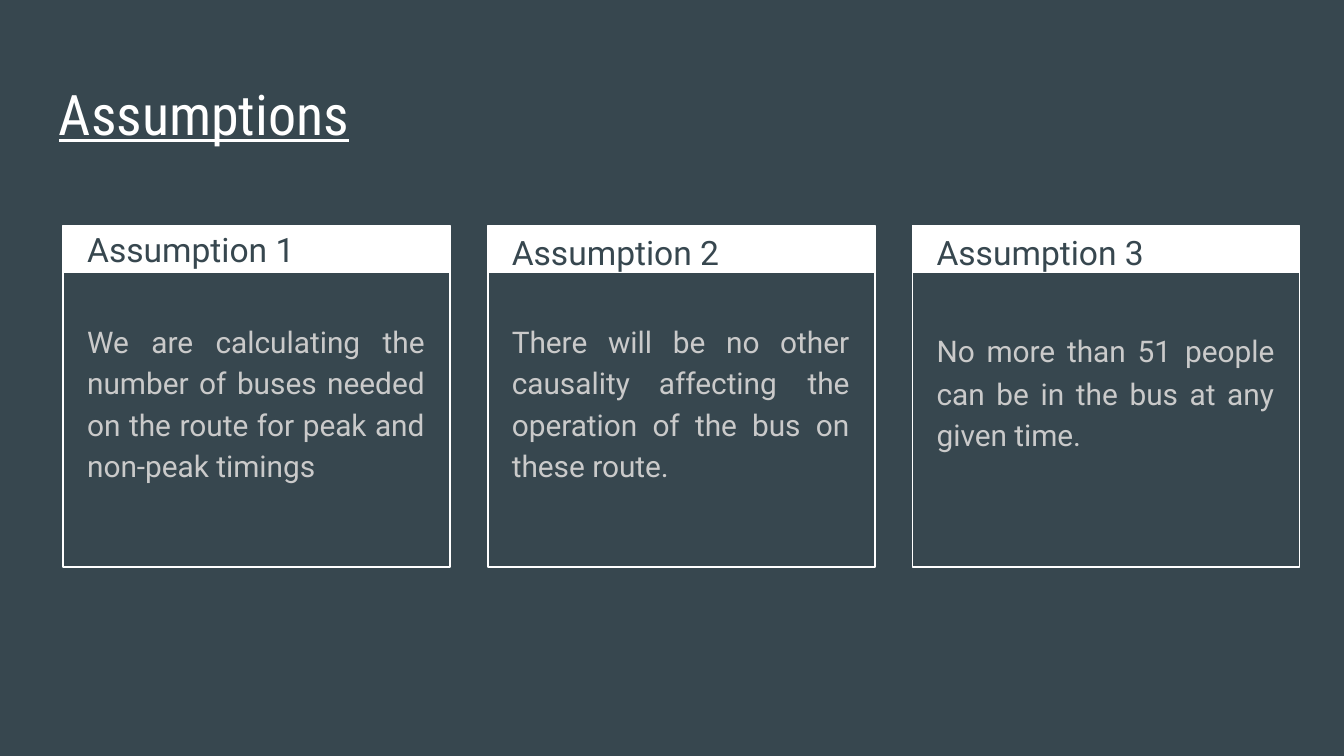
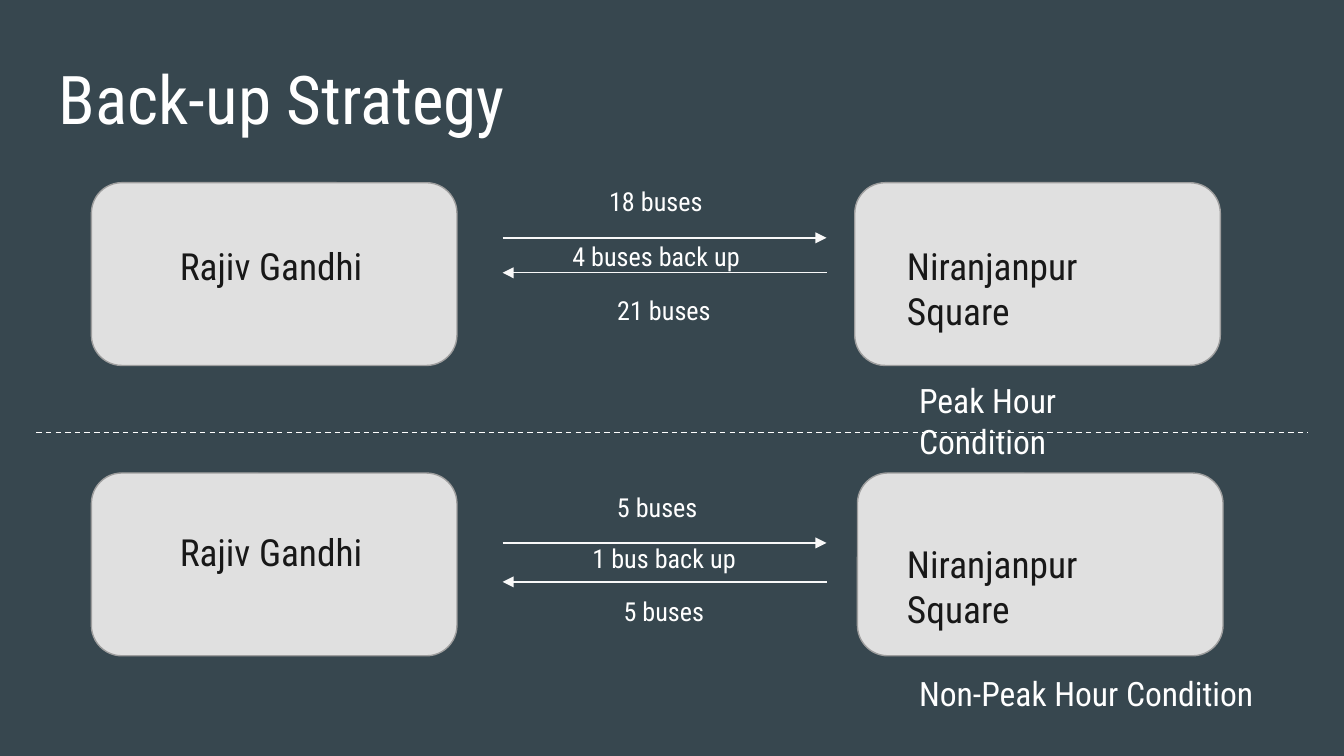
from lxml import etree
from pptx import Presentation
from pptx.dml.color import RGBColor
from pptx.enum.dml import MSO_LINE
from pptx.enum.shapes import MSO_CONNECTOR, MSO_SHAPE
from pptx.enum.text import MSO_ANCHOR, MSO_AUTO_SIZE, PP_ALIGN
from pptx.oxml.ns import qn
from pptx.util import Inches, Pt

SLATE = RGBColor(0x37, 0x47, 0x4F)
WHITE = RGBColor(0xFF, 0xFF, 0xFF)
SILVER = RGBColor(0xCA, 0xCA, 0xCA)
ARROW_WHITE = RGBColor(0xF9, 0xF9, 0xF9)
STOP_FILL = RGBColor(0xE0, 0xE0, 0xE0)
STOP_LINE = RGBColor(0x9E, 0x9E, 0x9E)
INK = RGBColor(0x18, 0x18, 0x18)

BODY_FONT = "Roboto"
CONDENSED_FONT = "Roboto Condensed"
RECTANGLE = MSO_SHAPE.RECTANGLE
ROUNDED = MSO_SHAPE.ROUNDED_RECTANGLE
STRAIGHT = MSO_CONNECTOR.STRAIGHT
DASH = MSO_LINE.DASH
TOP = MSO_ANCHOR.TOP
FIT_SHAPE = MSO_AUTO_SIZE.SHAPE_TO_FIT_TEXT
FIXED = MSO_AUTO_SIZE.NONE
LEFT = PP_ALIGN.LEFT
CENTER = PP_ALIGN.CENTER
JUSTIFY = PP_ALIGN.JUSTIFY

CELL = Inches(0.1)  # the slide is 100 columns wide, with square cells
COLUMNS, ROWS = 100, 56.25
LINE_WIDTH = Pt(0.75)


def cells(*lengths):
    """Turn grid columns or rows into slide lengths."""
    return [round(length * CELL) for length in lengths]


class Board:
    """Holds the deck, its style and the current page."""

    def __init__(self):
        self.deck = Presentation()
        self.deck.slide_width, self.deck.slide_height = cells(COLUMNS, ROWS)
        self.page = None

    def new_page(self, title, top, size, underline=False):
        self.page = self.deck.slides.add_slide(self.deck.slide_layouts[6])
        fill = self.page.background.fill
        fill.solid()
        fill.fore_color.rgb = SLATE
        self.text((3.4, top, 93.2, 6.3), title, size, inset=1,
                  underline=underline)

    def text(self, place, spans, size, color=WHITE, font=CONDENSED_FONT,
             align=LEFT, inset=0.5, spacing=None, underline=None):
        """Add a text box; spans is a string or (text, size, bold) tuples."""
        box = self.page.shapes.add_textbox(*cells(*place))
        frame = box.text_frame
        frame.word_wrap = True
        frame.auto_size = FIT_SHAPE if inset < 1 else FIXED
        frame.vertical_anchor = TOP
        frame.margin_left, frame.margin_right = cells(1, 1)
        frame.margin_top, frame.margin_bottom = cells(inset, inset)
        para = frame.paragraphs[0]
        para.alignment = align
        if spacing:
            para.line_spacing = spacing
        para.font.name = font
        para.font.size = Pt(size)
        para.font.color.rgb = color
        para.font.underline = underline
        if isinstance(spans, str):
            para.add_run().text = spans
            return
        for words, span_size, bold in spans:
            span = para.add_run()
            span.text = words
            span.font.size = Pt(span_size)
            span.font.bold = bold

    def block(self, place, kind, fill=None, line=None, group=None):
        shapes = (group or self.page).shapes
        shape = shapes.add_shape(kind, *cells(*place))
        shape.shadow.inherit = False
        if fill is None:
            shape.fill.background()
        else:
            shape.fill.solid()
            shape.fill.fore_color.rgb = fill
        if line is None:
            shape.line.fill.background()
        else:
            shape.line.color.rgb = line
            shape.line.width = LINE_WIDTH

    def line(self, start, end, color, dash=None, arrow=False):
        connector = self.page.shapes.add_connector(
            STRAIGHT, *cells(*start, *end))
        connector.line.color.rgb = color
        connector.line.width = LINE_WIDTH
        if dash:
            connector.line.dash_style = dash
        properties = connector._element.spPr
        if arrow:
            outline = properties.find(qn("a:ln"))
            etree.SubElement(outline, qn("a:tailEnd"), type="triangle")
        etree.SubElement(properties, qn("a:effectLst"))

    def card(self, left, heading, heading_top, body, body_height):
        top, width = 16.8, 28.8
        group = self.page.shapes.add_group_shape()
        self.block((left, top, width, 3.5), RECTANGLE, fill=WHITE, group=group)
        self.block((left, top, width, 25.4), RECTANGLE, line=WHITE,
                   group=group)
        self.text((left + 0.8, heading_top, 27.3, 6), heading, 18, SLATE,
                  BODY_FONT, inset=1, spacing=1.15)
        self.text((left + 0.8, 22.7, 27.1, body_height), body, 16, SILVER,
                  BODY_FONT, JUSTIFY, inset=1, spacing=1.15)

    def stop(self, left, top, name, name_place):
        self.block((left, top, 27.2, 13.6), ROUNDED, STOP_FILL, STOP_LINE)
        self.text((*name_place, 4.4), name, 20, INK)

    def route(self, outward_row, return_row, labels):
        """Add the arrows between two stops and their (words, place) labels."""
        near, far = 37.4, 61.5
        self.line((near, outward_row), (far, outward_row), ARROW_WHITE,
                  arrow=True)
        self.line((far, return_row), (near, return_row), ARROW_WHITE,
                  arrow=True)
        for words, place, align in labels:
            self.text((*place, 3.4), words, 14, align=align)


def add_assumptions(board):
    board.new_page("Assumptions", 4.9, 30, underline=True)
    wide_space = (" ", 20, True)
    cards = [
        ("Assumption 1", 15.6,
         "We are calculating the number of buses needed on the route "
         "for peak and non-peak timings", 19.5),
        ("Assumption 2", 15.8,
         [("There will be no other causality", 16, False), (" ", 12, False),
          ("affecting the operation of the bus on these route.", 16, False)],
         20.5),
        ("Assumption 3", 15.8,
         [("No more than 51", 16, False), wide_space,
          ("people", 16, False), wide_space,
          ("can be in the bus at any given time.", 16, False)], 16.7),
    ]
    for index, card in enumerate(cards):
        board.card(4.7 + 31.6 * index, *card)


def add_strategy(board):
    board.new_page("Back-up Strategy", 3.3, 36)
    first, last = "Rajiv Gandhi", "Niranjanpur Square"

    board.stop(6.8, 13.6, first, (12.4, 17.6, 15.8))
    board.stop(63.6, 13.6, last, (66.5, 17.6, 21.8))
    board.route(17.7, 20.3, [
        ("18 buses", (37.2, 13.3, 23.2), CENTER),
        ("4 buses back up", (41.6, 17.4, 15.6), LEFT),
        ("21 buses", (37.8, 21.4, 23.2), CENTER),
    ])
    board.line((2.7, 32.2), (97.3, 32.2), WHITE, dash=DASH)
    board.text((67.4, 27.8, 20.9, 4), "Peak Hour Condition", 18)

    board.stop(6.8, 35.2, first, (12.4, 38.9, 16))
    board.stop(63.8, 35.2, last, (66.5, 39.8, 21.8))
    board.route(40.4, 43.3, [
        ("5 buses", (37.3, 36.1, 23.2), CENTER),
        ("1 bus back up", (43.1, 39.9, 15.6), LEFT),
        ("5 buses", (37.8, 43.8, 23.2), CENTER),
    ])
    board.text((67.4, 49.6, 27.9, 4), "Non-Peak Hour Condition", 18)


def main():
    board = Board()
    add_assumptions(board)
    add_strategy(board)
    board.deck.save("out.pptx")


if __name__ == "__main__":
    main()
